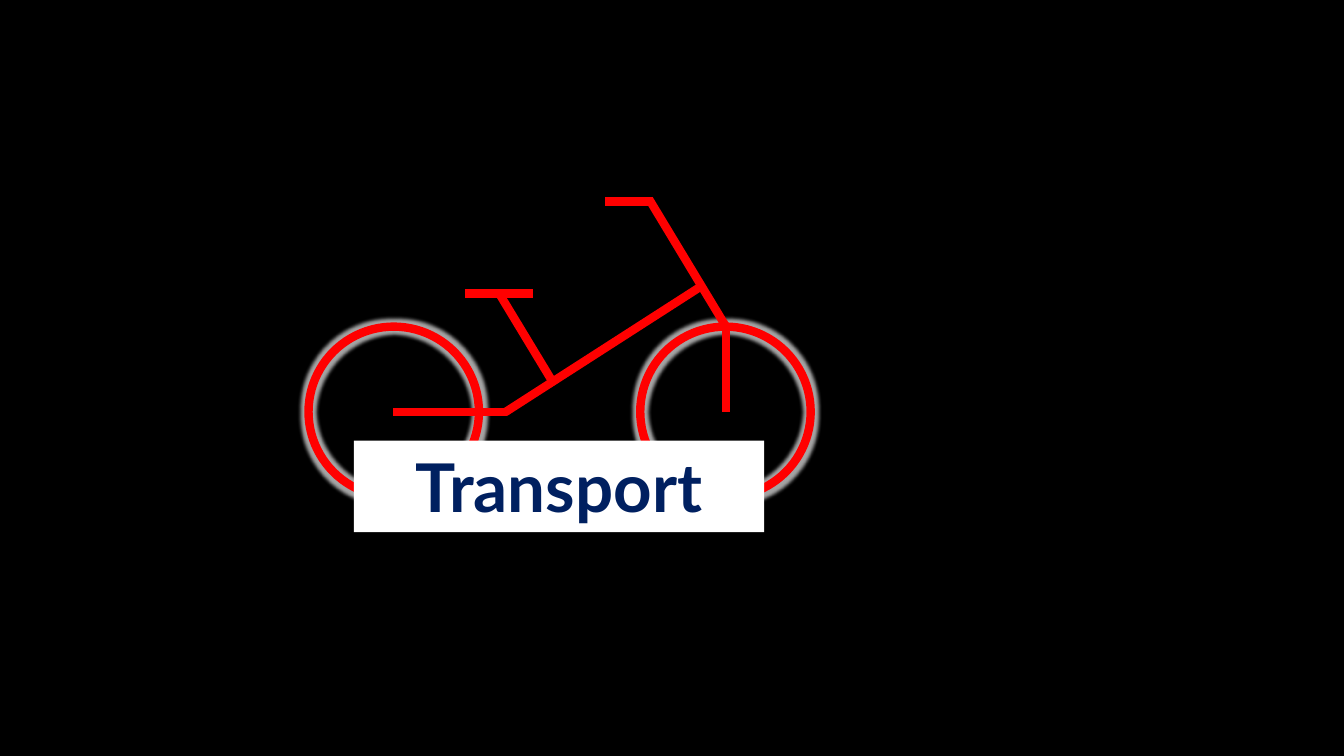
"""Build a slide with a line-drawn bicycle and a Transport label."""
from typing import NamedTuple

from lxml import etree
from pptx import Presentation
from pptx.dml.color import RGBColor
from pptx.enum import shapes, text
from pptx.oxml import ns
from pptx.util import Inches, Pt

BLACK = RGBColor(0x00, 0x00, 0x00)
RED = RGBColor(0xFF, 0x00, 0x00)
WHITE = RGBColor(0xFF, 0xFF, 0xFF)
NAVY = RGBColor(0x00, 0x20, 0x60)
GLOW = RGBColor(0xA5, 0xA5, 0xA5)

STROKE = Pt(6)
GLOW_RADIUS = Pt(5)
WHEEL_SIZE = 1.69
WHEEL_TOP = 3.24


class Tube(NamedTuple):
    """A straight bar of the bicycle, in inches."""
    x1: float
    y1: float
    x2: float
    y2: float


HANDLEBAR = Tube(6.48, 2, 6, 2)
FRAME = [
    Tube(5.01, 4.09, 6.97, 2.83),
    Tube(7.2, 3.24, 6.44, 1.98),
    Tube(5.5, 3.82, 4.95, 2.91),
    Tube(4.61, 2.91, 5.29, 2.91),
    Tube(3.9, 4.09, 5.03, 4.09),
    Tube(7.2, 3.24, 7.2, 4.09),
]
WHEEL_LEFTS = [3.06, 6.35]
LABEL_FORMAT = {"name": "Lato", "size": Pt(48), "bold": True}


def style_line(line) -> None:
    """Give a line the bicycle stroke."""
    line.color.rgb = RED
    line.width = STROKE


def add_tube(s, tube: Tube) -> None:
    """Draw one bar without a shadow."""
    ends = [Inches(v) for v in tube]
    sp = s.shapes.add_connector(shapes.MSO_CONNECTOR.STRAIGHT, *ends)
    style_line(sp.line)
    etree.SubElement(sp._element.spPr, ns.qn("a:effectLst"))


def add_wheel(s, left: float) -> None:
    """Draw one wheel ring with a soft glow."""
    box = [Inches(v) for v in (left, WHEEL_TOP, WHEEL_SIZE, WHEEL_SIZE)]
    sp = s.shapes.add_shape(shapes.MSO_SHAPE.OVAL, *box)
    sp.fill.background()
    style_line(sp.line)
    sp.shadow.inherit = False
    effects = sp._element.spPr.find(ns.qn("a:effectLst"))
    glow = etree.SubElement(effects, ns.qn("a:glow"), rad=str(int(GLOW_RADIUS)))
    etree.SubElement(glow, ns.qn("a:srgbClr"), val=str(GLOW))


def add_label(s, words: str) -> None:
    """Place the white label over the wheels."""
    box = [Inches(v) for v in (3.51, 4.37, 4.07, 0.91)]
    sp = s.shapes.add_textbox(*box)
    sp.fill.solid()
    sp.fill.fore_color.rgb = WHITE
    tf = sp.text_frame
    tf.word_wrap = True
    tf.auto_size = text.MSO_AUTO_SIZE.SHAPE_TO_FIT_TEXT
    p = tf.paragraphs[0]
    p.alignment = text.PP_ALIGN.CENTER
    r = p.add_run()
    r.text = words
    for name, value in LABEL_FORMAT.items():
        setattr(r.font, name, value)
    r.font.color.rgb = NAVY


def main() -> None:
    """Assemble and save the slide."""
    prs = Presentation()
    prs.slide_width, prs.slide_height = Inches(13.33), Inches(7.5)
    s = prs.slides.add_slide(prs.slide_layouts[6])
    s.background.fill.solid()
    s.background.fill.fore_color.rgb = BLACK
    add_tube(s, HANDLEBAR)
    for left in WHEEL_LEFTS:
        add_wheel(s, left)
    for tube in FRAME:
        add_tube(s, tube)
    add_label(s, "Transport")
    prs.save("out.pptx")


main()
